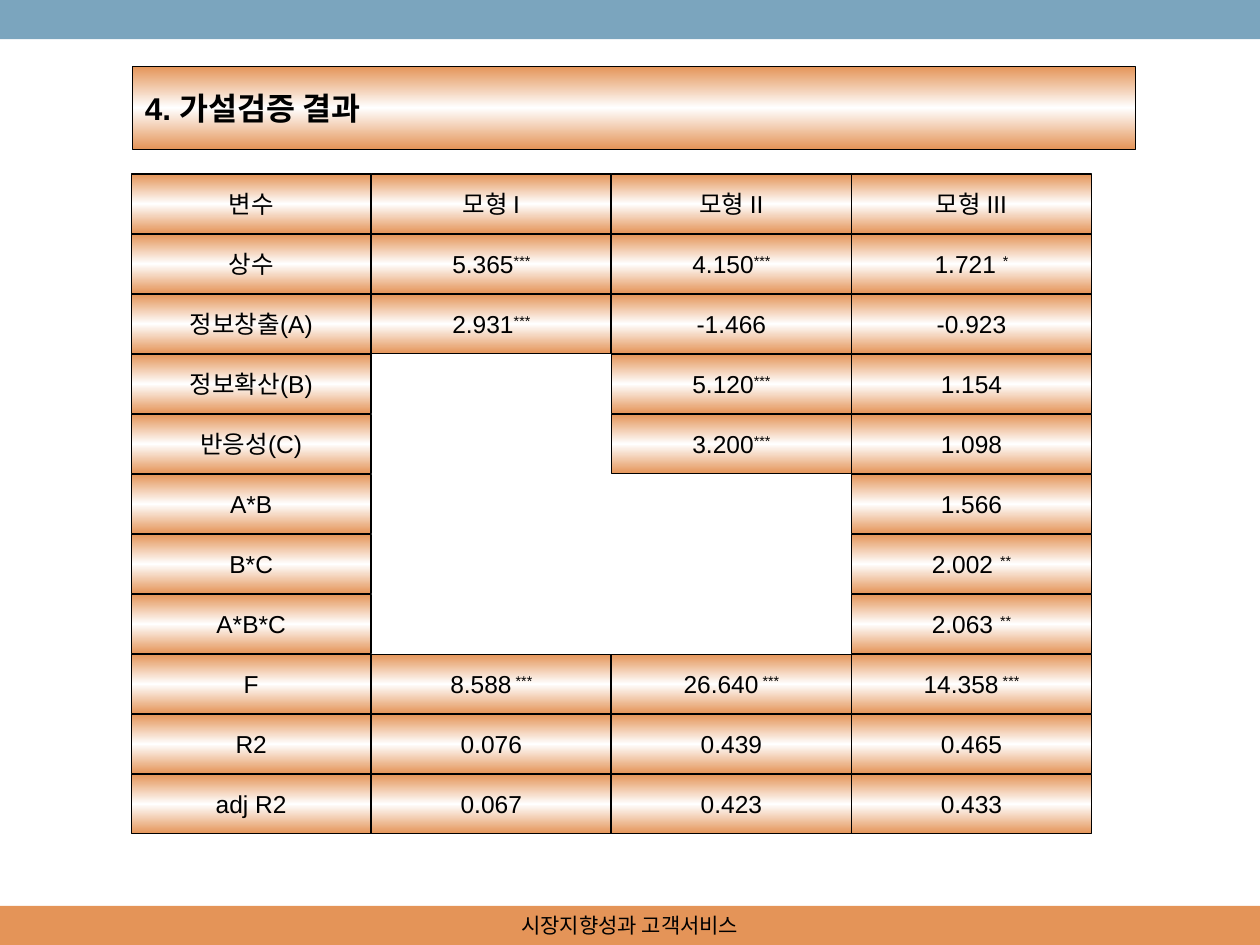
from copy import deepcopy

from pptx import Presentation
from pptx.dml.color import RGBColor
from pptx.enum.shapes import MSO_SHAPE
from pptx.enum.text import MSO_ANCHOR, PP_ALIGN
from pptx.oxml.ns import qn
from pptx.util import Cm, Pt

RECT = MSO_SHAPE.RECTANGLE
MIDDLE = MSO_ANCHOR.MIDDLE
LEFT, CENTER = PP_ALIGN.LEFT, PP_ALIGN.CENTER

COLORS = {"orange": "E49458", "blue": "7BA5BE", "white": "FFFFFF", "black": "000000"}
FORMATS = {
    "title": {"name": "Arial", "size": Pt(18), "bold": True},
    "cell": {"name": "Arial", "size": Pt(14)},
    "footer": {"name": "Cambria", "size": Pt(12)},
}
GRADIENT = [(0, "orange"), (0.5, "white"), (1, "orange")]

GRID_LEFT, GRID_TOP = 2.65, 3.51
COL_STEP, ROW_STEP = 4.84, 1.21
CELL_W, CELL_H = 4.83, 1.2
ROWS = [
    ["변수", "모형 I", "모형 II", "모형 III"],
    ["상수", "5.365|***", "4.150|***", "1.721 |*"],
    ["정보창출(A)", "2.931|***", "-1.466", "-0.923"],
    ["정보확산(B)", None, "5.120|***", "1.154"],
    ["반응성(C)", None, "3.200|***", "1.098"],
    ["A*B", None, None, "1.566"],
    ["B*C", None, None, "2.002 |**"],
    ["A*B*C", None, None, "2.063 |**"],
    ["F", "8.588| ***", "26.640| ***", "14.358| ***"],
    ["R2", "0.076", "0.439", "0.465"],
    ["adj R2", "0.067", "0.423", "0.433"],
]


class SlideBuilder:
    def __init__(self, slide):
        self.s = slide

    def color(self, name):
        return RGBColor.from_string(COLORS[name])

    def rect(self, x, y, w, h):
        sp = self.s.shapes.add_shape(RECT, Cm(x), Cm(y), Cm(w), Cm(h))
        sp.shadow.inherit = False
        return sp

    def band(self, y, h, fill):
        sp = self.rect(0, y, 25.4, h)
        sp.fill.solid()
        sp.fill.fore_color.rgb = self.color(fill)
        sp.line.fill.background()

    def box(self, x, y, w, h, text, style, align=CENTER):
        sp = self.rect(x, y, w, h)
        sp.fill.gradient()
        sp.fill.gradient_angle = 270
        stops = sp._element.spPr.find(qn("a:gradFill")).find(qn("a:gsLst"))
        stops.append(deepcopy(stops[-1]))
        for stop, (position, name) in zip(sp.fill.gradient_stops, GRADIENT):
            stop.position = position
            stop.color.rgb = self.color(name)
        sp.line.color.rgb = self.color("black")
        sp.line.width = Pt(0.75)
        self.set_text(sp.text_frame, text, style, align, False)

    def label(self, x, y, w, h, text, style):
        sp = self.s.shapes.add_textbox(Cm(x), Cm(y), Cm(w), Cm(h))
        self.set_text(sp.text_frame, text, style, CENTER, True)

    def set_text(self, tf, text, style, align, wrap):
        tf.word_wrap = wrap
        tf.vertical_anchor = MIDDLE
        p = tf.paragraphs[0]
        p.alignment = align
        for i, part in enumerate(text.split("|")):
            r = p.add_run()
            r.text = part
            for key, value in FORMATS[style].items():
                setattr(r.font, key, value)
            r.font.color.rgb = self.color("black")
            if i:
                r._r.get_or_add_rPr().set("baseline", "30000")


def main():
    prs = Presentation()
    prs.slide_width, prs.slide_height = Cm(25.4), Cm(19.05)
    b = SlideBuilder(prs.slides.add_slide(prs.slide_layouts[6]))
    b.band(18.26, 0.79, "orange")
    b.band(0, 0.79, "blue")
    b.label(8.68, 18.26, 8.04, 0.79, "시장지향성과 고객서비스", "footer")
    b.box(2.67, 1.34, 20.22, 1.67, "4. 가설검증 결과", "title", LEFT)
    for row, values in enumerate(ROWS):
        for col, text in enumerate(values):
            if text:
                x = GRID_LEFT + col * COL_STEP
                y = GRID_TOP + row * ROW_STEP
                b.box(x, y, CELL_W, CELL_H, text, "cell")
    prs.save("out.pptx")


if __name__ == "__main__":
    main()
